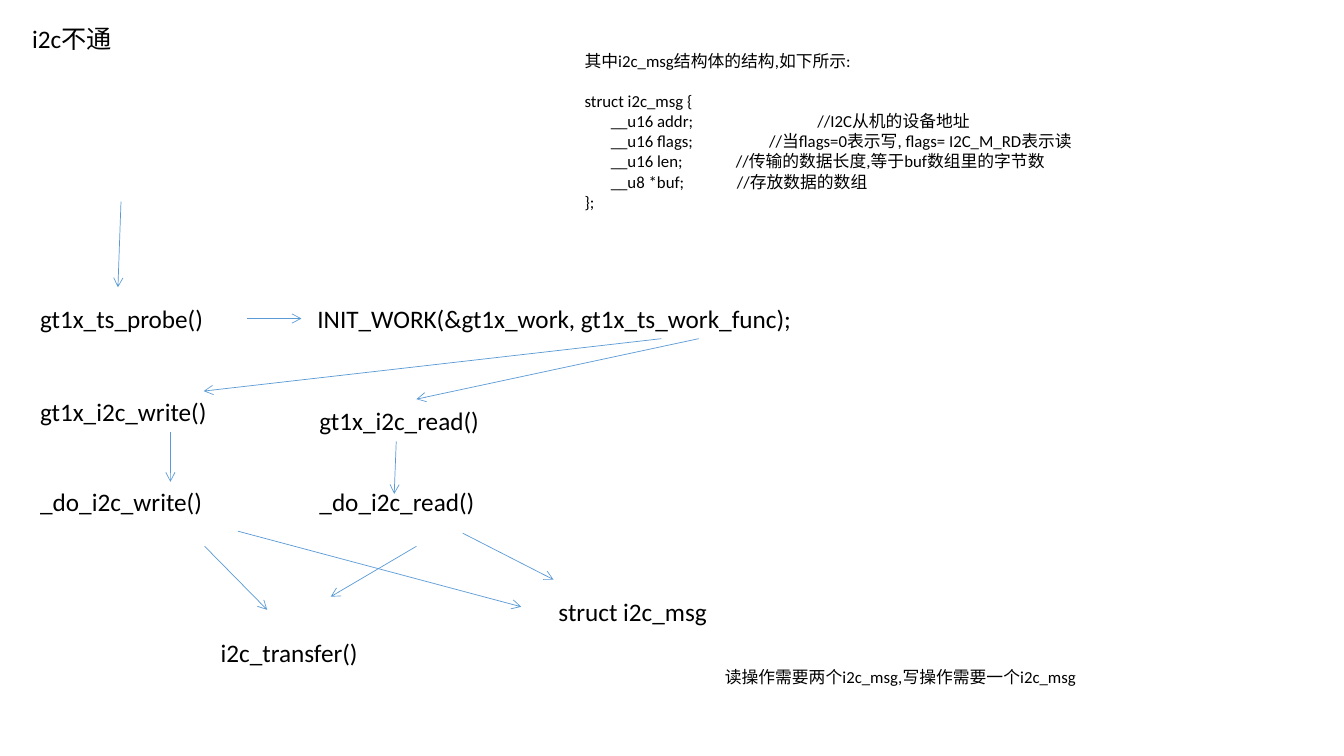
from lxml import etree
from pptx import Presentation
from pptx.dml.color import RGBColor
from pptx.enum.shapes import MSO_CONNECTOR
from pptx.enum.text import MSO_AUTO_SIZE
from pptx.oxml.ns import qn
from pptx.util import Inches, Pt

BLACK = RGBColor(0x00, 0x00, 0x00)
BLUE = RGBColor(0x5B, 0x9B, 0xD5)


class CallFlowSlide:
    font = "Calibri"
    call_size = 18
    note_size = 12

    def __init__(self, presentation):
        self.slide = presentation.slides.add_slide(presentation.slide_layouts[6])

    def text(self, left, top, width, height, lines, size, wrap=True):
        box = self.slide.shapes.add_textbox(
            Inches(left), Inches(top), Inches(width), Inches(height))
        frame = box.text_frame
        frame.word_wrap = wrap
        frame.auto_size = MSO_AUTO_SIZE.SHAPE_TO_FIT_TEXT
        for number, line in enumerate(lines):
            paragraph = frame.add_paragraph() if number else frame.paragraphs[0]
            run = paragraph.add_run()
            run.text = line
            run.font.name = self.font
            run.font.size = Pt(size)
            run.font.color.rgb = BLACK
        return frame.paragraphs

    def call(self, left, top, width, name, wrap=True):
        self.text(left, top, width, 0.4, [name], self.call_size, wrap)

    def note(self, left, top, width, height, lines):
        return self.text(left, top, width, height, lines, self.note_size)

    def tab_stops(self, paragraph, positions):
        properties = paragraph._p.get_or_add_pPr()
        tabs = etree.SubElement(properties, qn("a:tabLst"))
        for position in positions:
            etree.SubElement(tabs, qn("a:tab"), pos=str(Inches(position)), algn="l")

    def arrow(self, start, end):
        points = [Inches(value) for value in (*start, *end)]
        connector = self.slide.shapes.add_connector(MSO_CONNECTOR.STRAIGHT, *points)
        connector.line.color.rgb = BLUE
        connector.line.width = Pt(0.5)
        etree.SubElement(connector.line._get_or_add_ln(), qn("a:tailEnd"), type="arrow")
        etree.SubElement(connector._element.spPr, qn("a:effectLst"))


FIELDS = [
    ("__u16 addr;", "//I2C从机的设备地址", 2.31),
    ("__u16 flags;", "//当flags=0表示写, flags= I2C_M_RD表示读", 1.83),
    ("__u16 len;", "//传输的数据长度,等于buf数组里的字节数", 1.5),
    ("__u8 *buf;", "//存放数据的数组", 1.51),
]
FIELD_INDENT = 0.26

WRITE_LEFT, READ_LEFT = 0.3, 3.07
CALLS = [
    (WRITE_LEFT, 2.96, 2.78, "gt1x_ts_probe()"),
    (3.05, 2.96, 7.81, "INIT_WORK(&gt1x_work, gt1x_ts_work_func);"),
    (WRITE_LEFT, 3.88, 2.78, "gt1x_i2c_write()"),
    (READ_LEFT, 3.97, 2.78, "gt1x_i2c_read()"),
    (WRITE_LEFT, 4.78, 2.78, "_do_i2c_write()"),
    (READ_LEFT, 4.78, 2.78, "_do_i2c_read()"),
    (2.09, 6.27, 2.72, "i2c_transfer()"),
    (5.44, 5.87, 2.78, "struct i2c_msg"),
]
ARROWS = [
    ((1.2, 2), (1.17, 2.85)),
    ((2.45, 3.16), (2.99, 3.16)),
    ((6.56, 3.36), (2.02, 3.88)),
    ((6.93, 3.36), (4.13, 3.96)),
    ((1.69, 4.29), (1.69, 4.78)),
    ((3.93, 4.38), (3.91, 4.9)),
    ((4.13, 5.42), (3.28, 5.92)),
    ((2.03, 5.42), (2.65, 6.05)),
    ((4.59, 5.29), (5.49, 5.75)),
    ((2.36, 5.27), (5.17, 6.02)),
]

presentation = Presentation()
presentation.slide_width = Inches(13.33)
presentation.slide_height = Inches(7.5)
flow = CallFlowSlide(presentation)

flow.call(0.22, 0.18, 1.07, "i2c不通", wrap=False)

field_lines = [f"\t{field}\t{comment}" for field, comment, _ in FIELDS]
struct_lines = flow.note(
    5.7, 0.45, 10.56, 1.72,
    ["其中i2c_msg结构体的结构,如下所示:", "struct i2c_msg {", *field_lines, "};"])
struct_lines[1].space_before = Pt(14.4)
for paragraph, (_, _, comment_left) in zip(struct_lines[2:], FIELDS):
    flow.tab_stops(paragraph, (FIELD_INDENT, comment_left))

for left, top, width, name in CALLS:
    flow.call(left, top, width, name)
for start, end in ARROWS:
    flow.arrow(start, end)
flow.note(7.09, 6.57, 5.51, 0.3, ["读操作需要两个i2c_msg,写操作需要一个i2c_msg"])

presentation.save("out.pptx")
